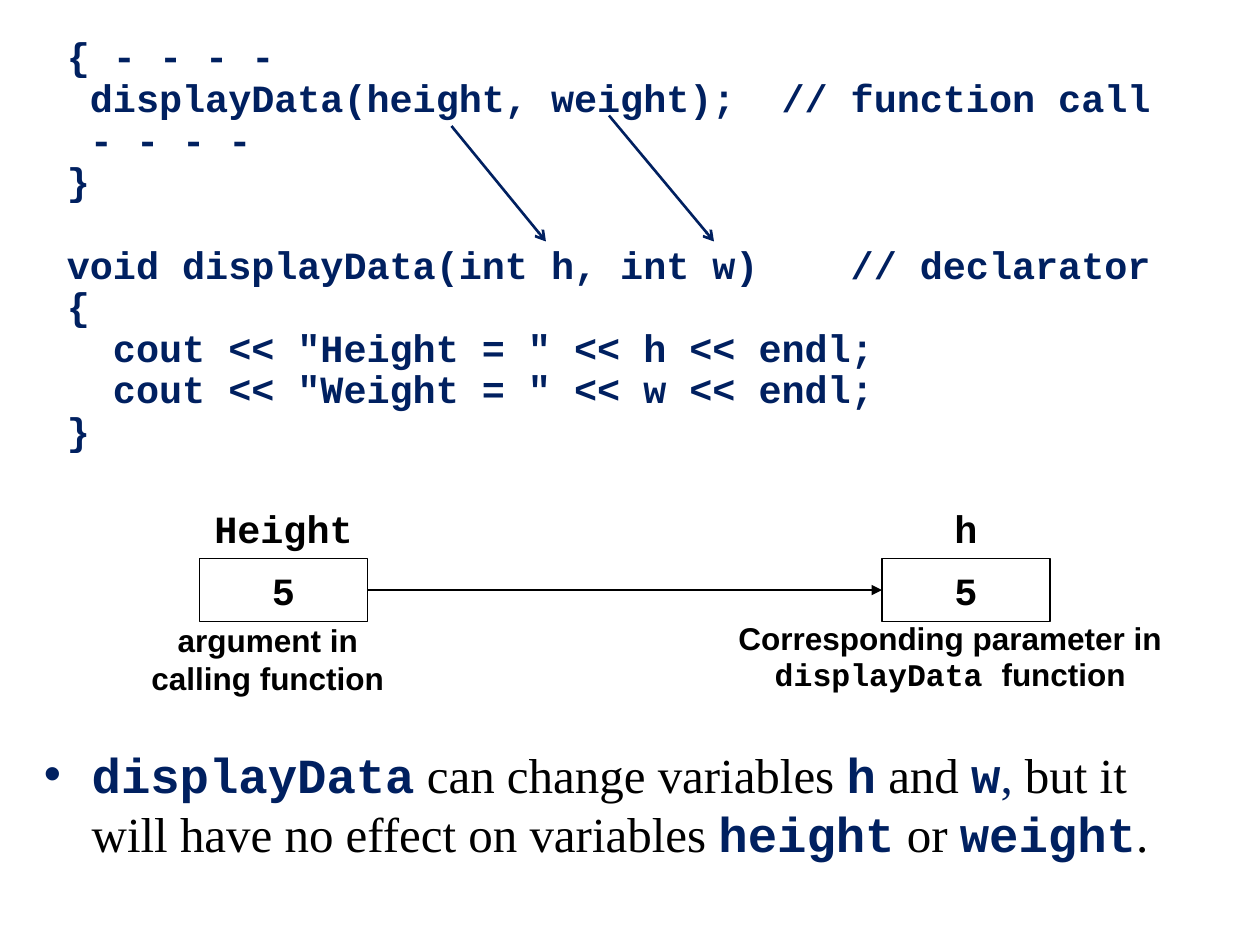
from collections import namedtuple
from dataclasses import dataclass

from lxml import etree
from pptx import Presentation
from pptx import util as u
from pptx.dml.color import RGBColor
from pptx.enum import shapes, text
from pptx.oxml.ns import qn

Style = namedtuple("Style", "font size color bold")


@dataclass(frozen=True)
class Theme:
    navy: str = "002060"
    black: str = "000000"
    code: Style = Style("Courier New", 22, "002060", True)
    value: Style = Style("Courier New", 22, "000000", True)
    caption: Style = Style("Arial", 18, "000000", True)
    caption_code: Style = Style("Courier New", 18, "000000", True)
    keyword: Style = Style("Courier New", 28, "002060", True)
    prose: Style = Style("Times New Roman", 28, "000000", False)
    prose_navy: Style = Style("Times New Roman", 28, "002060", False)


THEME = Theme()

CALL = (
    " { - - - -",
    "  displayData(height, weight);  // function call",
    "  - - - -",
    " }",
)
DEFINITION = (
    " void displayData(int h, int w)    // declarator",
    " {",
    '   cout << "Height = " << h << endl;',
    '   cout << "Weight = " << w << endl;',
    " }",
)
CONCLUSION = (
    ("displayData", THEME.keyword),
    (" can change variables ", THEME.prose),
    ("h", THEME.keyword),
    (" and ", THEME.prose),
    ("w", THEME.keyword),
    (", ", THEME.prose_navy),
    ("but it will have no effect on variables ", THEME.prose),
    ("height", THEME.keyword),
    (" or ", THEME.prose),
    ("weight", THEME.keyword),
    (".", THEME.prose),
)


def grid(*cells):
    """Twelve grid cells to the inch, so the slide is 120 columns by 90 rows."""
    return [u.Inches(cell / 12) for cell in cells]


def write(paragraph, parts, before=0, spacing=None, align=None):
    for words, style in parts:
        run = paragraph.add_run()
        run.text = words
        run.font.name = style.font
        run.font.size = u.Pt(style.size)
        run.font.bold = style.bold
        run.font.color.rgb = RGBColor.from_string(style.color)
    paragraph.space_before = u.Pt(before)
    paragraph.line_spacing = spacing
    paragraph.alignment = align


def hang(paragraph, bullet=None):
    """Give a hanging indent, with a bullet in it if there is one."""
    properties = paragraph._p.get_or_add_pPr()
    properties.set("marL", str(u.Inches(0.38)))
    properties.set("indent", str(-u.Inches(0.38)))
    if bullet:
        color = etree.SubElement(properties, qn("a:buClr"))
        etree.SubElement(color, qn("a:srgbClr"), val=THEME.navy)
        etree.SubElement(properties, qn("a:buFont"), typeface="Arial")
        etree.SubElement(properties, qn("a:buChar"), char=bullet)


def add_body(slide):
    frame = slide.shapes.add_textbox(*grid(3, 3, 113, 84)).text_frame
    frame.word_wrap = True
    paragraph = frame.paragraphs[0]
    for block, gap in ((CALL, 0), (DEFINITION, 24)):
        for number, line in enumerate(block):
            write(paragraph, [(line, THEME.code)],
                  before=0 if number else gap, spacing=0.9)
            hang(paragraph)
            paragraph = frame.add_paragraph()
    write(paragraph, CONCLUSION, before=166)
    hang(paragraph, "•")


def add_label(slide, cells, lines, before, spacing=None):
    frame = slide.shapes.add_textbox(*grid(*cells)).text_frame
    frame.word_wrap = True
    for number, parts in enumerate(lines):
        paragraph = frame.add_paragraph() if number else frame.paragraphs[0]
        write(paragraph, parts, before, spacing, text.PP_ALIGN.CENTER)


def add_variable(slide, column, name, value):
    """Draw a memory cell with the variable's name above it."""
    add_label(slide, (column, 47.5, 16, 5.6), [[(name, THEME.value)]], 5.5)
    cell = slide.shapes.add_shape(shapes.MSO_SHAPE.RECTANGLE,
                                  *grid(column, 53.2, 16, 6))
    cell.shadow.inherit = False
    cell.fill.background()
    cell.line.color.rgb = RGBColor.from_string(THEME.black)
    cell.line.width = u.Pt(0.75)
    cell.text_frame.word_wrap = False
    cell.text_frame.vertical_anchor = text.MSO_ANCHOR.MIDDLE
    write(cell.text_frame.paragraphs[0], [(value, THEME.value)], 5.5,
          align=text.PP_ALIGN.CENTER)
    return cell


def add_arrow(slide, cells, color, width, head):
    arrow = slide.shapes.add_connector(shapes.MSO_CONNECTOR.STRAIGHT, *grid(*cells))
    arrow.line.color.rgb = RGBColor.from_string(color)
    arrow.line.width = u.Pt(width)
    etree.SubElement(arrow.line._get_or_add_ln(), qn("a:tailEnd"), type=head)
    etree.SubElement(arrow._element.spPr, qn("a:effectLst"))
    return arrow


def main():
    deck = Presentation()
    deck.slide_width, deck.slide_height = grid(120, 90)
    slide = deck.slides.add_slide(deck.slide_layouts[6])

    # Code and conclusion
    add_body(slide)

    # Each argument points to its parameter
    add_arrow(slide, (43, 12, 52, 23), THEME.navy, 1.5, "arrow")
    add_arrow(slide, (58, 11, 68, 23), THEME.navy, 1.5, "arrow")

    # The value is passed from one memory cell to the other
    argument = add_variable(slide, 19, "Height", "5")
    parameter = add_variable(slide, 84, "h", "5")
    passing = add_arrow(slide, (35, 56.2, 84, 56.2), THEME.black, 0.75, "triangle")
    passing.begin_connect(argument, 3)
    passing.end_connect(parameter, 1)

    # Captions under the cells
    add_label(slide, (9, 59.2, 33, 7.8),
              [[("argument in", THEME.caption)],
               [("calling function", THEME.caption)]], 4.5, 0.8)
    add_label(slide, (69, 59.2, 43, 7.4),
              [[("Corresponding parameter in", THEME.caption)],
               [("displayData ", THEME.caption_code),
                ("function", THEME.caption)]], 4.5, 0.75)

    deck.save("out.pptx")


if __name__ == "__main__":
    main()
